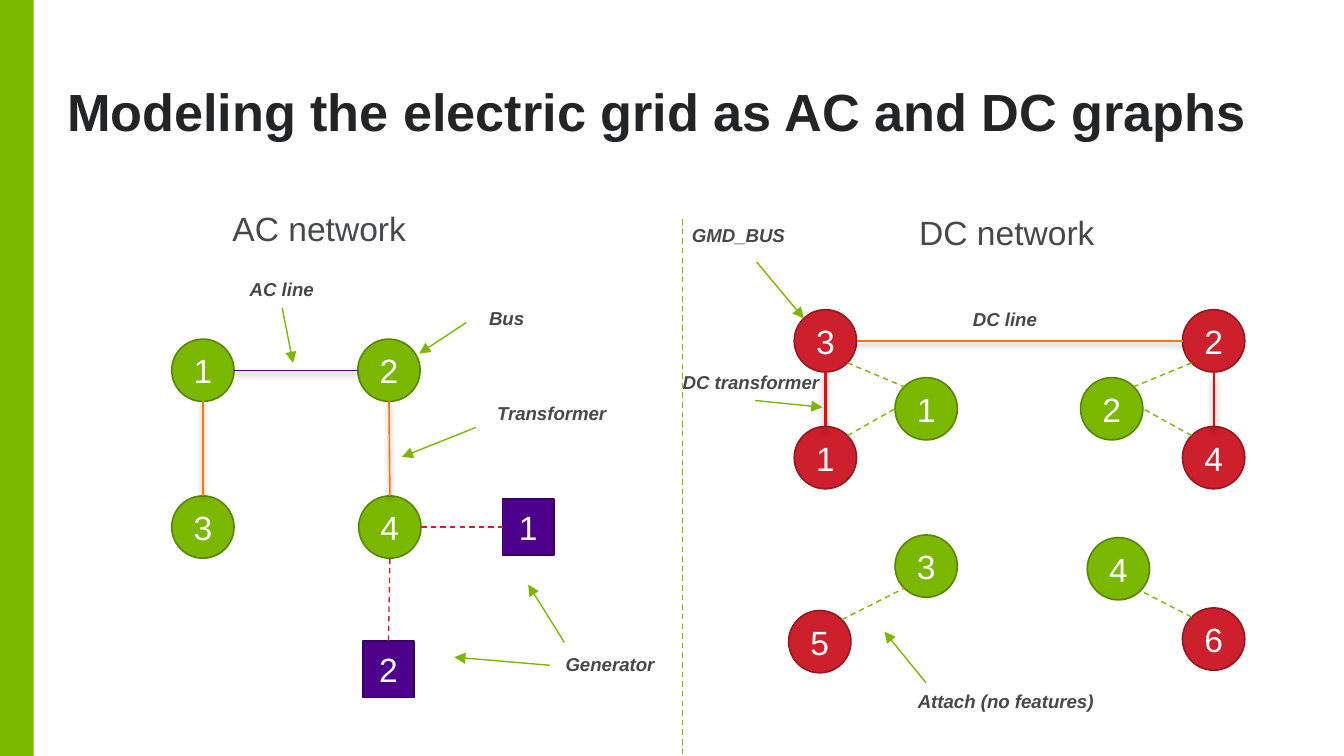
from lxml.etree import SubElement
from pptx import Presentation
from pptx.dml.color import RGBColor
from pptx.enum.dml import MSO_LINE
from pptx.enum.shapes import MSO_CONNECTOR, MSO_SHAPE
from pptx.enum.text import MSO_ANCHOR, PP_ALIGN
from pptx.oxml.ns import qn
from pptx.util import Pt

COLORS = {
    "green": "7AB800", "green_edge": "598600",
    "red": "CD202C", "red_edge": "951720",
    "purple": "4D008C", "purple_edge": "380066",
    "orange": "FF7900", "bright_red": "FF0000",
    "title": "232425", "text": "47484A", "white": "FFFFFF", "black": "000000",
}
FONT = "Arial"
NODE = (33.4, 33.4)
GENERATOR = (27.4, 30.2)
DIAG = 0.5 ** 0.5
SIDES = {"N": (0, -1), "S": (0, 1), "W": (-1, 0), "E": (1, 0),
         "NW": (-DIAG, -DIAG), "NE": (DIAG, -DIAG),
         "SW": (-DIAG, DIAG), "SE": (DIAG, DIAG)}
RECT_SITES = {"N": 0, "W": 1, "S": 2, "E": 3}


def rgb(name):
    return RGBColor.from_string(COLORS[name])


def add_run(p, text, size, color, bold=False, italic=False):
    r = p.add_run()
    r.text = text
    r.font.name, r.font.size = FONT, Pt(size)
    r.font.bold, r.font.italic = bold, italic
    r.font.color.rgb = rgb(color)


def add_text(s, box, x, y, w, text, size=10, emphasis=True):
    tb = s.shapes.add_textbox(Pt(box[0] + x), Pt(box[1] + y), Pt(w), Pt(size * 1.15 + 7.5))
    tf = tb.text_frame
    tf.word_wrap = True
    add_run(tf.paragraphs[0], text, size, "text", emphasis, emphasis)


def add_node(s, box, cx, cy, text, color, shape=MSO_SHAPE.OVAL, size=NODE):
    w, h = size
    sp = s.shapes.add_shape(shape, Pt(box[0] + cx - w / 2), Pt(box[1] + cy - h / 2), Pt(w), Pt(h))
    sp.shadow.inherit = False
    sp.fill.solid()
    sp.fill.fore_color.rgb = rgb(color)
    sp.line.color.rgb = rgb(color + "_edge")
    sp.line.width = Pt(0.85)
    tf = sp.text_frame
    tf.vertical_anchor = MSO_ANCHOR.MIDDLE
    tf.word_wrap = False
    p = tf.paragraphs[0]
    p.alignment = PP_ALIGN.CENTER
    add_run(p, text, 18, "white")
    return sp


def add_line(s, start, end, color="green", width=0.75, dash=False, arrow=False, shadow=None):
    c = s.shapes.add_connector(MSO_CONNECTOR.STRAIGHT, *start, *end)
    c.line.color.rgb = rgb(color)
    c.line.width = Pt(width)
    if dash:
        c.line.dash_style = MSO_LINE.DASH
    if arrow:
        SubElement(c.line._get_or_add_ln(), qn("a:tailEnd"), type="triangle")
    effects = SubElement(c._element.spPr, qn("a:effectLst"))
    if shadow:
        blur, dist = shadow
        outer = SubElement(effects, qn("a:outerShdw"), blurRad=str(Pt(blur)),
                           dist=str(Pt(dist)), dir="5400000", rotWithShape="0")
        shade = SubElement(outer, qn("a:srgbClr"), val=COLORS["black"])
        SubElement(shade, qn("a:alpha"), val="40000")
    return c


def side_point(sp, side):
    dx, dy = SIDES[side]
    return (int(sp.left + sp.width * (1 + dx) / 2), int(sp.top + sp.height * (1 + dy) / 2))


def link(s, a, side_a, b, side_b, color, **style):
    c = add_line(s, side_point(a, side_a), side_point(b, side_b), color, **style)
    if b.auto_shape_type == MSO_SHAPE.RECTANGLE:
        c.end_connect(b, RECT_SITES[side_b])


def add_callouts(s, box, labels, arrows):
    for label in labels:
        add_text(s, box, *label)
    for x1, y1, x2, y2 in arrows:
        add_line(s, (Pt(box[0] + x1), Pt(box[1] + y1)),
                 (Pt(box[0] + x2), Pt(box[1] + y2)), arrow=True)


LINE = {"width": 0.85, "shadow": (3, 2)}
THICK = {"width": 1.2, "shadow": (4, 3.4)}


def add_frame(s, box):
    x, y, w, h = box
    # Side bar
    bar = s.shapes.add_shape(MSO_SHAPE.RECTANGLE, Pt(x), Pt(y), Pt(18), Pt(h))
    bar.shadow.inherit = False
    bar.fill.solid()
    bar.fill.fore_color.rgb = rgb("green")
    bar.line.fill.background()
    # Title
    title = s.shapes.title
    title.left, title.top = Pt(x + 36), Pt(y + 28)
    title.width, title.height = Pt(w - 60), Pt(49)
    tf = title.text_frame
    tf.margin_left = tf.margin_right = tf.margin_top = tf.margin_bottom = 0
    tf.vertical_anchor = MSO_ANCHOR.BOTTOM
    p = tf.paragraphs[0]
    p.alignment, p.line_spacing = PP_ALIGN.LEFT, 0.95
    add_run(p, "Modeling the electric grid as AC and DC graphs", 28, "title", True)
    # Divider between the networks
    add_line(s, (Pt(x + 365.8), Pt(y + 117.4)), (Pt(x + 365.8), Pt(y + h)), dash=True)


def add_ac_network(s, box):
    add_text(s, box, 25.4, 0, 126, "AC network", 18, False)
    # Buses and generators
    buses = {n: add_node(s, box, x, y, n, "green") for n, x, y in (
        ("1", 16.7, 90.4), ("2", 116.4, 90.4), ("3", 16.7, 174.4), ("4", 116.9, 174.4))}
    gens = {n: add_node(s, box, x, y, n, "purple", MSO_SHAPE.RECTANGLE, GENERATOR)
            for n, x, y in (("1", 191, 174.4), ("2", 116.1, 250.6))}
    # Line, transformers and generator links
    link(s, buses["1"], "E", buses["2"], "W", "purple", **LINE)
    for top, bottom in (("1", "3"), ("2", "4")):
        link(s, buses[top], "S", buses[bottom], "N", "orange", **LINE)
    link(s, buses["4"], "E", gens["1"], "W", "red", dash=True)
    link(s, buses["4"], "S", gens["2"], "N", "red", dash=True)
    add_callouts(
        s, box,
        [(34.7, 37.4, 50, "AC line"), (162.9, 52.6, 35, "Bus"),
         (167.2, 103.7, 75, "Transformer"), (203.9, 238.3, 64, "Generator")],
        [(59.2, 56.9, 65, 86.4), (157.8, 64.8, 132.6, 81.4), (163, 121, 123.3, 136.8),
         (202.5, 248.4, 151.4, 244.1), (210.4, 236.2, 191, 205.2)])


def add_dc_network(s, box):
    add_text(s, box, 119.3, 2.2, 140, "DC network", 18, False)
    # AC buses (green) and GMD buses (red)
    ac = {n: add_node(s, box, x, y, n, "green") for n, x, y in (
        ("1", 130.2, 111), ("2", 229.6, 111), ("3", 130.2, 195.3), ("4", 233.2, 196.7))}
    gmd = {n: add_node(s, box, x, y, n, "red") for n, x, y in (
        ("3", 76.2, 74.6), ("1", 76.2, 137.2), ("5", 73.2, 235.8),
        ("2", 284.2, 74.6), ("4", 284.2, 137.2), ("6", 284.2, 234.4))}
    # DC line and transformers
    link(s, gmd["3"], "E", gmd["2"], "W", "orange", **LINE)
    for top, bottom in (("3", "1"), ("2", "4")):
        link(s, gmd[top], "S", gmd[bottom], "N", "bright_red", **THICK)
    # Attachments
    for a, side_a, b, side_b in (
            ("3", "SE", "1", "NW"), ("1", "NE", "1", "W"),
            ("2", "SW", "2", "NE"), ("4", "NW", "2", "E"),
            ("5", "NE", "3", "SW"), ("6", "NW", "4", "SE")):
        link(s, gmd[a], side_a, ac[b], side_b, "green", dash=True)
    add_callouts(
        s, box,
        [(-2.4, 8.6, 80, "GMD_BUS"), (148.1, 53.3, 51, "DC line"),
         (-7.4, 87.1, 93, "DC transformer"), (118.6, 257.8, 116, "Attach (no features)")],
        [(39.4, 32.4, 64.6, 62.6), (38.6, 106.6, 74.6, 110.2), (130.1, 257.8, 107.8, 230.4)])


def main():
    prs = Presentation()
    prs.slide_width, prs.slide_height = Pt(720), Pt(405)
    s = prs.slides.add_slide(prs.slide_layouts[5])
    add_frame(s, (0, 0, 720, 405))
    add_ac_network(s, (92, 108))
    add_dc_network(s, (366, 108))
    prs.save("out.pptx")


if __name__ == "__main__":
    main()
